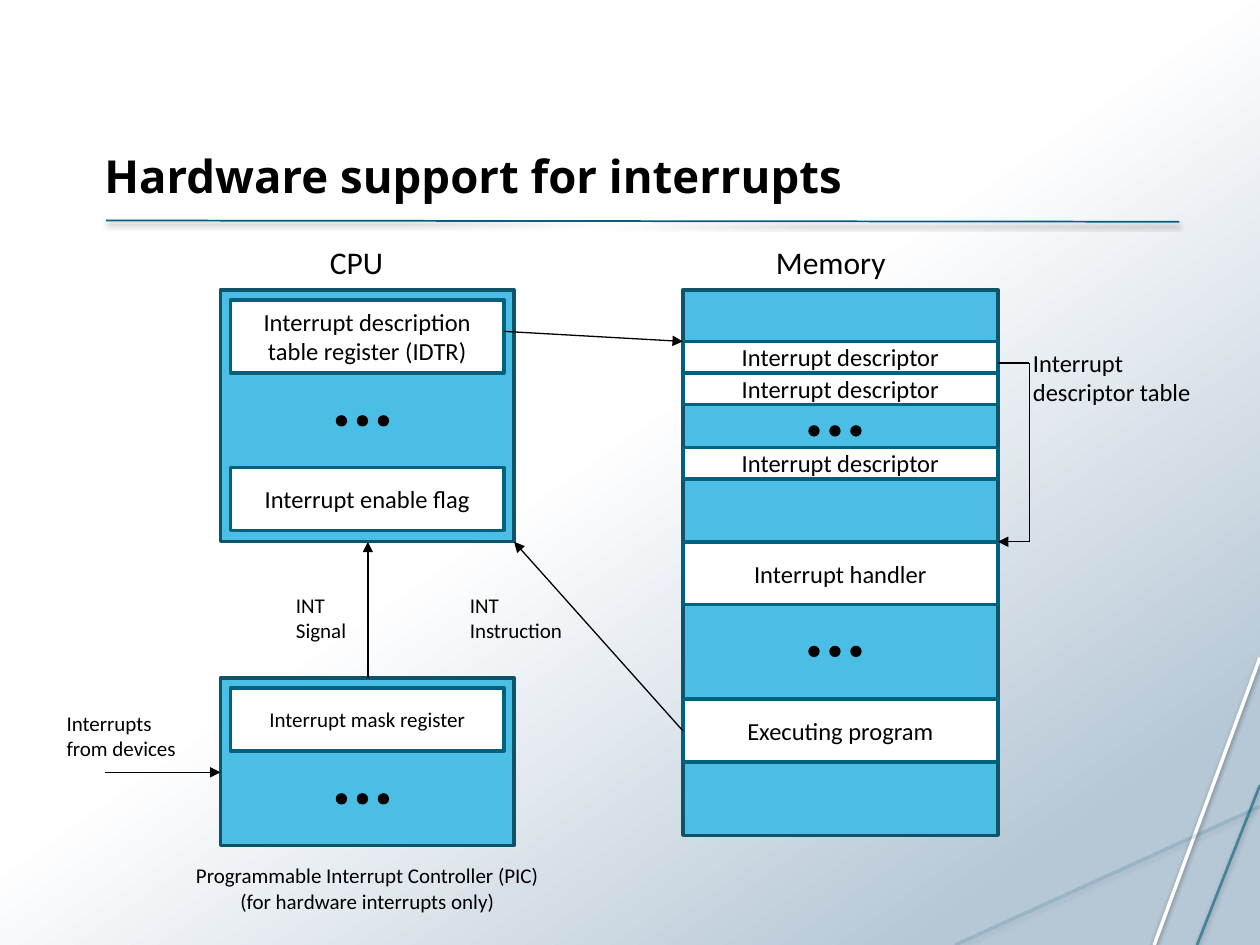
from lxml import etree
from pptx import Presentation
from pptx.dml.color import RGBColor
from pptx.enum.shapes import MSO_CONNECTOR, MSO_SHAPE
from pptx.enum.text import MSO_ANCHOR, PP_ALIGN
from pptx.oxml import parse_xml
from pptx.oxml.ns import nsdecls, qn
from pptx.util import Inches, Pt

RECTANGLE, OVAL = MSO_SHAPE.RECTANGLE, MSO_SHAPE.OVAL
STRAIGHT = MSO_CONNECTOR.STRAIGHT
LEFT, CENTER = PP_ALIGN.LEFT, PP_ALIGN.CENTER
TOP, MIDDLE, BOTTOM = MSO_ANCHOR.TOP, MSO_ANCHOR.MIDDLE, MSO_ANCHOR.BOTTOM
BLACK = RGBColor(0x00, 0x00, 0x00)
WHITE = RGBColor(0xFF, 0xFF, 0xFF)
SKY = RGBColor(0x4A, 0xBE, 0xE4)
NAVY = RGBColor(0x0F, 0x53, 0x69)
TEAL = RGBColor(0x00, 0x61, 0x7F)
LIGHT_TEAL = RGBColor(0x15, 0x71, 0x8F)
MIST = RGBColor(0xB6, 0xC7, 0xD5)
SHADOW = (
    f'<a:effectLst {nsdecls("a")}><a:outerShdw blurRad="39370" dist="22860" '
    'dir="5400000" rotWithShape="0"><a:srgbClr val="000000">'
    '<a:alpha val="38000"/></a:srgbClr></a:outerShdw></a:effectLst>'
)


class Diagram:
    font = "Calibri"
    thin = 0.74
    thick = 2

    def __init__(self, page):
        self.page = page

    def shape(self, kind, left, top, width, height, fill, line, weight, parent=None):
        shapes = (parent or self.page).shapes
        shape = shapes.add_shape(kind, Inches(left), Inches(top), Inches(width), Inches(height))
        shape.shadow.inherit = False
        shape.fill.solid()
        shape.fill.fore_color.rgb = fill
        shape.line.color.rgb = line
        shape.line.width = Pt(weight)
        return shape

    def backdrop(self, width, height):
        shape = self.shape(RECTANGLE, 0, 0, width, height, WHITE, WHITE, self.thin)
        shape.line.fill.background()
        shape.fill.gradient()
        shape.fill.gradient_angle = 305
        for stop, color, position in zip(shape.fill.gradient_stops, (WHITE, MIST), (0.47, 0.87)):
            stop.color.rgb = color
            stop.position = position

    def set_text(self, shape, text, size, align, anchor, font, bold=False, wrap=False):
        frame = shape.text_frame
        frame.word_wrap = wrap
        frame.vertical_anchor = anchor
        frame.text = text
        for para in frame.paragraphs:
            para.alignment = align
            para.font.name = font
            para.font.size = Pt(size)
            para.font.bold = bold
            para.font.color.rgb = BLACK

    def block(self, left, top, width, height):
        self.shape(RECTANGLE, left, top, width, height, SKY, NAVY, self.thick)

    def cell(self, left, top, width, height, text, size=14):
        shape = self.shape(RECTANGLE, left, top, width, height, WHITE, TEAL, self.thick)
        self.set_text(shape, text, size, CENTER, MIDDLE, self.font)

    def label(self, left, top, width, height, text, size, align=LEFT, anchor=TOP,
              font=font, bold=False, wrap=False):
        box = self.page.shapes.add_textbox(
            Inches(left), Inches(top), Inches(width), Inches(height))
        self.set_text(box, text, size, align, anchor, font, bold, wrap)

    def dots(self, left, top):
        group = self.page.shapes.add_group_shape()
        for index in range(3):
            self.shape(OVAL, left + index / 6, top, 0.08, 0.08, BLACK, BLACK, self.thin, group)

    def line(self, start, end, color=BLACK, weight=thin, arrow=False, shadow=False, opacity=100):
        line = self.page.shapes.add_connector(STRAIGHT, *map(Inches, start + end))
        line.line.color.rgb = color
        line.line.width = Pt(weight)
        properties = line._element.spPr
        if opacity < 100:
            tint = properties.find(".//" + qn("a:srgbClr"))
            etree.SubElement(tint, qn("a:alpha")).set("val", str(opacity * 1000))
        if arrow:
            etree.SubElement(properties.find(qn("a:ln")), qn("a:tailEnd")).set("type", "triangle")
        properties.append(parse_xml(SHADOW if shadow else f'<a:effectLst {nsdecls("a")}/>'))


deck = Presentation()
deck.slide_width, deck.slide_height = Inches(10), Inches(7.5)
diagram = Diagram(deck.slides.add_slide(deck.slide_layouts[6]))

diagram.backdrop(10, 7.5)
for start, end, color, weight, opacity in (
    ((10, 5.22), (9.16, 7.5), WHITE, 2, 100),
    ((10, 6.4), (7.58, 7.5), LIGHT_TEAL, 2, 16),
    ((10, 6.23), (9.5, 7.5), TEAL, 1.5, 60),
    ((0.84, 1.75), (9.36, 1.76), TEAL, 1, 100),
):
    diagram.line(start, end, color, weight, shadow=True, opacity=opacity)
diagram.label(0.73, 0.33, 8.62, 1.33, "Hardware support for interrupts", 26,
              anchor=BOTTOM, font="Open Sans", bold=True, wrap=True)

MEMORY_LEFT, MEMORY_WIDTH = 5.42, 2.5
MEMORY_RIGHT = MEMORY_LEFT + MEMORY_WIDTH
CPU_LEFT, CPU_WIDTH, CPU_BOTTOM = 1.75, 2.33, 4.3
REGISTER_LEFT, REGISTER_WIDTH = 1.83, 2.17
BRACKET = 8.17

diagram.block(MEMORY_LEFT, 2.3, MEMORY_WIDTH, 4.33)
diagram.block(CPU_LEFT, 2.3, CPU_WIDTH, 2)
diagram.block(CPU_LEFT, 5.38, CPU_WIDTH, 1.33)

for top, height, text, size in (
    (2.38, 0.58, "Interrupt description\ntable register (IDTR)", 14),
    (3.71, 0.5, "Interrupt enable flag", 14),
    (5.46, 0.5, "Interrupt mask register", 12),
):
    diagram.cell(REGISTER_LEFT, top, REGISTER_WIDTH, height, text, size)

for top, height, text in (
    (2.71, 0.25, "Interrupt descriptor"),
    (2.96, 0.25, "Interrupt descriptor"),
    (3.55, 0.25, "Interrupt descriptor"),
    (4.3, 0.5, "Interrupt handler"),
    (5.55, 0.5, "Executing program"),
):
    diagram.cell(MEMORY_LEFT, top, MEMORY_WIDTH, height, text)

for left, top in ((2.67, 3.3), (2.67, 6.3), (6.42, 3.38), (6.42, 5.13)):
    diagram.dots(left, top)

for start, end, arrow in (
    ((4, 2.63), (MEMORY_LEFT, 2.71), True),
    ((MEMORY_RIGHT, 2.88), (BRACKET, 2.88), False),
    ((BRACKET, 2.88), (BRACKET, 4.3), False),
    ((BRACKET, 4.3), (MEMORY_RIGHT, 4.3), True),
    ((MEMORY_LEFT, 5.8), (CPU_LEFT + CPU_WIDTH, CPU_BOTTOM), True),
    ((2.92, 5.38), (2.92, CPU_BOTTOM), True),
    ((0.83, 6.13), (CPU_LEFT, 6.13), True),
):
    diagram.line(start, end, arrow=arrow)

for left, top, width, height, text, size in (
    (2.52, 1.88, 0.7, 0.4, "CPU", 18),
    (6.06, 1.88, 1.21, 0.4, "Memory", 18),
    (2.25, 4.65, 0.71, 0.5, "INT \nSignal", 12),
    (3.63, 4.65, 1.09, 0.5, "INT \nInstruction", 12),
    (0.43, 5.59, 1.27, 0.5, "Interrupts\vfrom devices", 12),
    (8.1, 2.71, 1.74, 0.56, "Interrupt \ndescriptor table", 14),
):
    diagram.label(left, top, width, height, text, size)
diagram.label(1.14, 6.8, 3.55, 0.5,
              "Programmable Interrupt Controller (PIC)\n(for hardware interrupts only)",
              12, align=CENTER, wrap=True)

deck.save("out.pptx")
